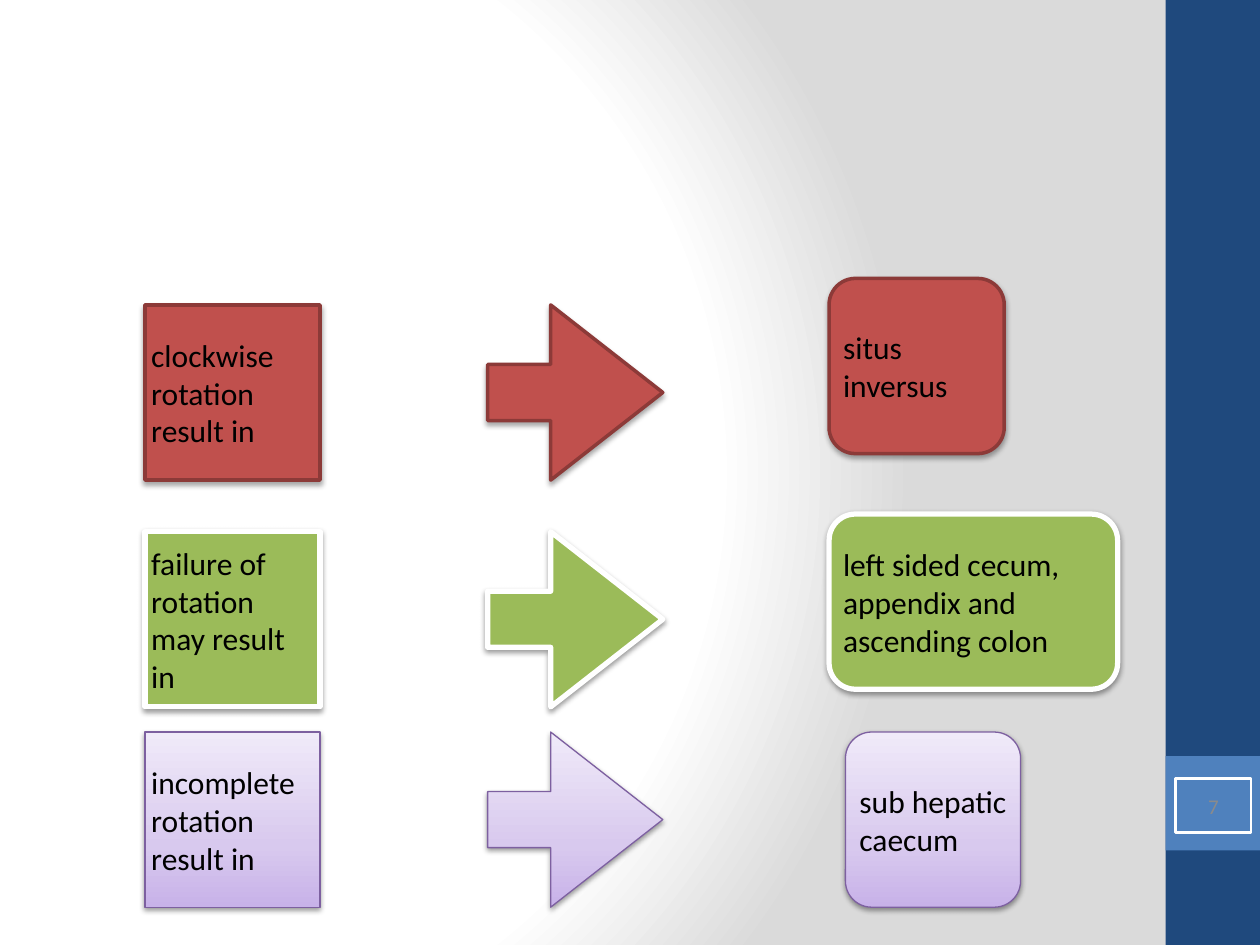
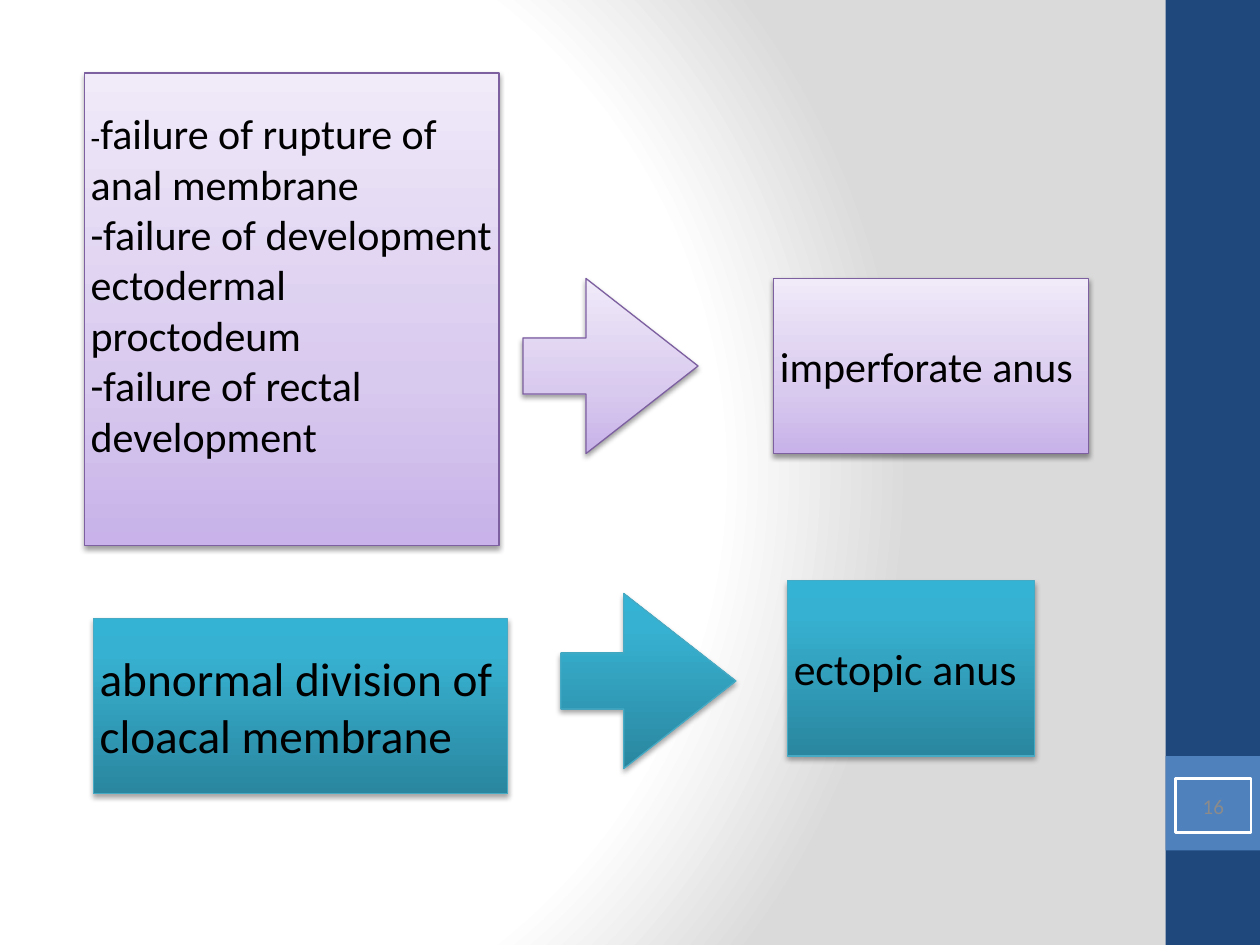
from collections import namedtuple

from lxml import etree
from pptx import Presentation
from pptx.dml.color import RGBColor
from pptx.enum.shapes import MSO_SHAPE
from pptx.enum.text import MSO_ANCHOR, PP_ALIGN
from pptx.oxml.ns import qn
from pptx.util import Inches, Pt

RECTANGLE = MSO_SHAPE.RECTANGLE
ROUNDED = MSO_SHAPE.ROUNDED_RECTANGLE
RIGHT_ARROW = MSO_SHAPE.RIGHT_ARROW
MIDDLE = MSO_ANCHOR.MIDDLE
LEFT = PP_ALIGN.LEFT
CENTER = PP_ALIGN.CENTER

WHITE = RGBColor(0xFF, 0xFF, 0xFF)
BLACK = RGBColor(0x00, 0x00, 0x00)
SILVER = RGBColor(0xDA, 0xDA, 0xDA)
GRAY = RGBColor(0x8B, 0x8B, 0x8B)
NAVY = RGBColor(0x1F, 0x49, 0x7D)
BLUE = RGBColor(0x4F, 0x81, 0xBD)
RED = RGBColor(0xC0, 0x50, 0x4D)
DARK_RED = RGBColor(0x8C, 0x3A, 0x38)
GREEN = RGBColor(0x9B, 0xBB, 0x59)
PURPLE = RGBColor(0x7D, 0x60, 0xA0)
LILAC = RGBColor(0xC8, 0xB2, 0xE9)
LIGHT_LILAC = RGBColor(0xD8, 0xC9, 0xEE)
PALE_LILAC = RGBColor(0xF0, 0xEA, 0xF9)
TEAL = RGBColor(0x46, 0xAA, 0xC4)
DARK_TEAL = RGBColor(0x2A, 0x86, 0x9F)
MID_TEAL = RGBColor(0x37, 0xB1, 0xD1)
BRIGHT_TEAL = RGBColor(0x34, 0xB3, 0xD5)

FONT = "Calibri"
COLUMNS, ROWS = 100, 75
CELL = Inches(0.1)
BLOCK = 13.9

Region = namedtuple("Region", "left top width height")
Style = namedtuple("Style", "fill line line_width shadow_alpha shadow_distance")
Run = namedtuple("Run", "text size")

LILAC_STOPS = [(0, LILAC), (35, LIGHT_LILAC), (100, PALE_LILAC)]
TEAL_STOPS = [(0, DARK_TEAL), (80, MID_TEAL), (100, BRIGHT_TEAL)]
BACKGROUND_STOPS = [(0, WHITE), (75, WHITE), (100, SILVER)]

RED_STYLE = Style(RED, DARK_RED, 2, 35, 1.8)
GREEN_STYLE = Style(GREEN, WHITE, 3, 38, 1.6)
LILAC_STYLE = Style(LILAC_STOPS, PURPLE, 0.75, 38, 1.6)
TEAL_STYLE = Style(TEAL_STOPS, TEAL, 0.75, 35, 1.8)


def within(region, part):
    return Region(region.left + part.left, region.top + part.top, part.width, part.height)


def set_stops(gradient, stops):
    stop_list = gradient.find(qn("a:gsLst"))
    for stop in list(stop_list):
        stop_list.remove(stop)
    for position, color in stops:
        stop = etree.SubElement(stop_list, qn("a:gs"), pos=str(position * 1000))
        etree.SubElement(stop, qn("a:srgbClr"), val=str(color))


def add_preset(slide, kind, region, fill=None, line=None, line_width=1):
    shape = slide.shapes.add_shape(kind, *(round(length * CELL) for length in region))
    shape.shadow.inherit = False
    if fill is None:
        shape.fill.background()
    elif isinstance(fill, RGBColor):
        shape.fill.solid()
        shape.fill.fore_color.rgb = fill
    else:
        shape.fill.gradient()
        shape.fill.gradient_angle = 90
        set_stops(shape.element.spPr.find(qn("a:gradFill")), fill)
    if line is None:
        shape.line.fill.background()
    else:
        shape.line.color.rgb = line
        shape.line.width = Pt(line_width)
    return shape


def add_styled(slide, kind, region, style):
    shape = add_preset(slide, kind, region, style.fill, style.line, style.line_width)
    effects = shape.element.spPr.find(qn("a:effectLst"))
    shadow = etree.SubElement(
        effects, qn("a:outerShdw"), blurRad=str(Pt(3)),
        dist=str(Pt(style.shadow_distance)), dir="5400000", rotWithShape="0",
    )
    color = etree.SubElement(shadow, qn("a:srgbClr"), val=str(BLACK))
    etree.SubElement(color, qn("a:alpha"), val=str(style.shadow_alpha * 1000))
    return shape


def write_text(shape, paragraphs, color=BLACK, alignment=LEFT, bottom=0.05):
    frame = shape.text_frame
    frame.word_wrap = True
    frame.vertical_anchor = MIDDLE
    frame.margin_left = frame.margin_top = frame.margin_right = Inches(0.05)
    frame.margin_bottom = Inches(bottom)
    for index, runs in enumerate(paragraphs):
        paragraph = frame.add_paragraph() if index else frame.paragraphs[0]
        paragraph.alignment = alignment
        for text, size in runs:
            run = paragraph.add_run()
            run.text = text
            run.font.name = FONT
            run.font.size = Pt(size)
            run.font.color.rgb = color


def add_flow(slide, region, style, cause, arrow, effect, cause_text, effect_text,
             effect_kind=RECTANGLE, cause_bottom=0.05):
    cause_box = add_styled(slide, RECTANGLE, within(region, cause), style)
    write_text(cause_box, cause_text, bottom=cause_bottom)
    arrow_shape = add_styled(slide, RIGHT_ARROW, within(region, arrow), style)
    arrow_shape.adjustments[0] = 0.32
    arrow_shape.adjustments[1] = 0.64
    effect_box = add_styled(slide, effect_kind, within(region, effect), style)
    if effect_kind == ROUNDED:
        effect_box.adjustments[0] = 0.15
    write_text(effect_box, effect_text)


def set_background(master):
    master.background.fill.gradient()
    gradient = master.element.cSld.find(".//" + qn("a:gradFill"))
    set_stops(gradient, BACKGROUND_STOPS)
    gradient.remove(gradient.find(qn("a:lin")))
    circle = etree.SubElement(gradient, qn("a:path"), path="circle")
    etree.SubElement(circle, qn("a:fillToRect"), l="20000", t="50000", r="100000", b="50000")


def move_bands_to_master(slide, master):
    side = Region(92.5, 0, 7.5, ROWS)
    bands = [(side, NAVY), (within(side, Region(0, 60, 7.5, 7.5)), BLUE)]
    for offset, (region, color) in enumerate(bands):
        band = add_preset(slide, RECTANGLE, region, color)
        master.shapes.element.insert(2 + offset, band.element)


def add_page_number(slide, number):
    frame = add_preset(slide, RECTANGLE, Region(93.3, 61.8, 6, 4.3), None, WHITE, 1.5)
    write_text(frame, [[Run(number, 12)]], GRAY, CENTER)


def build_rotation_slide(slide):
    add_page_number(slide, "7")
    flows = [
        (24.2, RED_STYLE, "clockwise rotation result in", "situs inversus",
         Region(54.3, -2.1, BLOCK, BLOCK)),
        (42.2, GREEN_STYLE, "failure of rotation may result in",
         "left sided cecum, appendix and ascending colon",
         Region(54.3, -1.4, 22.9, BLOCK)),
        (58.1, LILAC_STYLE, "incomplete rotation result in", "sub hepatic caecum",
         Region(55.6, 0, BLOCK, BLOCK)),
    ]
    for top, style, cause_text, effect_text, effect in flows:
        add_flow(
            slide, Region(11.5, top, 77.2, BLOCK), style,
            Region(0, 0, BLOCK, BLOCK), Region(27.2, 0, BLOCK, BLOCK), effect,
            [[Run(cause_text, 18)]], [[Run(effect_text, 18)]], ROUNDED,
        )


def build_anus_slide(slide):
    add_page_number(slide, "16")
    add_flow(
        slide, Region(6.7, 5.8, 79.7, 37.5), LILAC_STYLE,
        Region(0, 0, 32.9, 37.5), Region(34.8, 16.3, BLOCK, BLOCK),
        Region(54.7, 16.3, 25, BLOCK),
        [
            [Run("-", 18), Run("failure of rupture of anal membrane", 24)],
            [Run("-failure of development ectodermal proctodeum", 24)],
            [Run("-failure of rectal development", 24)],
        ],
        [[Run("imperforate anus", 24)]], cause_bottom=0.45,
    )
    add_flow(
        slide, Region(7.4, 46.1, 74.7, 16.9), TEAL_STYLE,
        Region(0, 3, 32.9, BLOCK), Region(37.1, 1, BLOCK, BLOCK),
        Region(55.1, 0, 19.6, BLOCK),
        [[Run("abnormal division of cloacal membrane", 27)]],
        [[Run("ectopic anus", 25)]],
    )


def main():
    presentation = Presentation()
    presentation.slide_width = COLUMNS * CELL
    presentation.slide_height = ROWS * CELL
    master = presentation.slide_master
    set_background(master)
    blank_layout = presentation.slide_layouts[6]
    rotation_slide = presentation.slides.add_slide(blank_layout)
    move_bands_to_master(rotation_slide, master)
    build_rotation_slide(rotation_slide)
    build_anus_slide(presentation.slides.add_slide(blank_layout))
    presentation.save("out.pptx")


if __name__ == "__main__":
    main()
